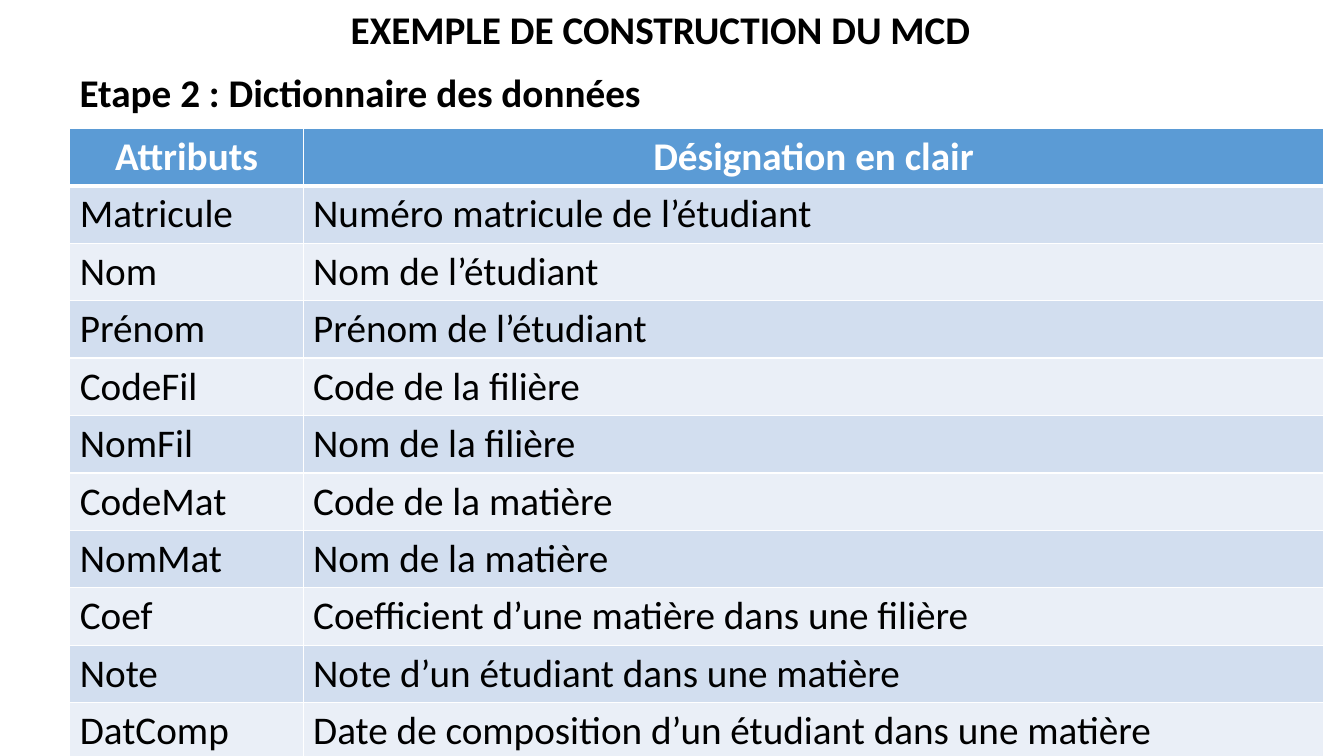
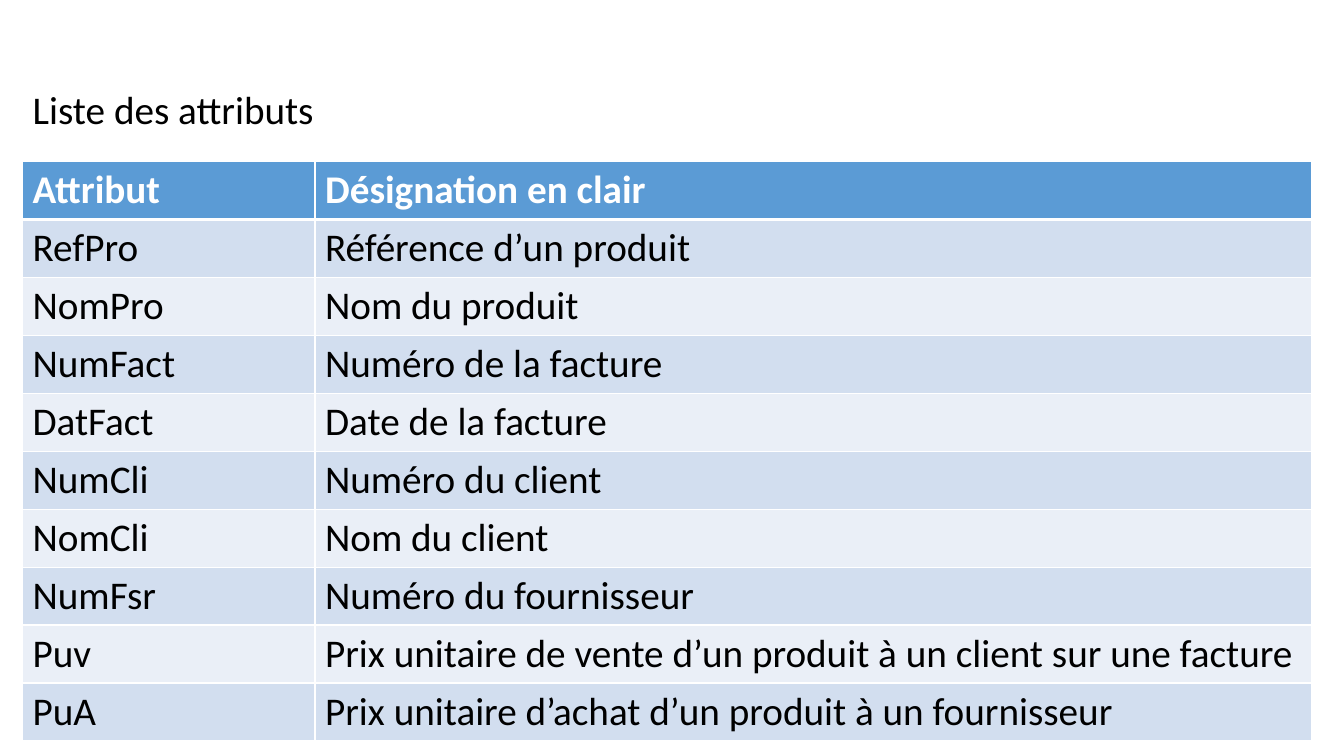
from dataclasses import dataclass

import pptx
import pptx.dml.color
import pptx.enum.text
import pptx.oxml
import pptx.oxml.ns
import pptx.util

Cm = pptx.util.Cm
Pt = pptx.util.Pt
ALIGN = pptx.enum.text.PP_ALIGN
TITLE_ONLY = 5


@dataclass(frozen=True)
class Theme:
    font: str = "Calibri"
    size: int = 28
    text: str = "000000"
    page: str = "FFFFFF"
    header: str = "5B9BD5"
    bands: tuple = ("D2DEEF", "EAEFF7")
    grid: str = "FFFFFF"
    grid_width: int = 1
    header_rule: int = 3


def rgb(code):
    return pptx.dml.color.RGBColor.from_string(code)


class Deck:
    def __init__(self, theme):
        self.theme = theme
        self.prs = pptx.Presentation()
        self.prs.slide_width = Cm(33.87)
        self.prs.slide_height = Cm(19.05)
        fill = self.prs.slide_master.background.fill
        fill.solid()
        fill.fore_color.rgb = rgb(theme.page)
        self.s = None

    def slide(self):
        self.s = self.prs.slides.add_slide(self.prs.slide_layouts[TITLE_ONLY])

    def set_text(self, tf, text, color, bold, align):
        p = tf.paragraphs[0]
        p.text = text
        p.alignment = align
        p.font.name = self.theme.font
        p.font.size = Pt(self.theme.size)
        p.font.bold = bold
        p.font.color.rgb = rgb(color)

    def heading(self, sp, text, bold, align):
        tf = sp.text_frame
        tf.word_wrap = True
        tf.auto_size = pptx.enum.text.MSO_AUTO_SIZE.NONE
        tf.vertical_anchor = pptx.enum.text.MSO_ANCHOR.TOP
        self.set_text(tf, text, self.theme.text, bold, align)

    def title(self, text, left, top, width, bold=True, align=ALIGN.LEFT):
        sp = self.s.shapes.title
        sp.left, sp.top, sp.width, sp.height = Cm(left), Cm(top), Cm(width), Cm(1.45)
        self.heading(sp, text, bold, align)

    def subtitle(self, text, left, top, width):
        sp = self.s.shapes.add_textbox(Cm(left), Cm(top), Cm(width), Cm(1.45))
        self.heading(sp, text, True, ALIGN.LEFT)

    def borders(self, cell, top, bottom):
        """Draw the four cell borders; top and bottom are widths in points."""
        side = self.theme.grid_width
        tcPr = cell._tc.get_or_add_tcPr()
        for tag, width in (("lnL", side), ("lnR", side), ("lnT", top), ("lnB", bottom)):
            tcPr.append(pptx.oxml.parse_xml(
                f'<a:{tag} {pptx.oxml.ns.nsdecls("a")} w="{Pt(width)}"><a:solidFill>'
                f'<a:srgbClr val="{self.theme.grid}"/></a:solidFill></a:{tag}>'))

    def table(self, rows, left, top, widths, row_height, header_align=ALIGN.LEFT):
        t = self.theme
        table = self.s.shapes.add_table(
            len(rows), len(widths), Cm(left), Cm(top),
            Cm(sum(widths)), Cm(row_height * len(rows))).table
        for column, width in zip(table.columns, widths):
            column.width = Cm(width)
        for i, row in enumerate(rows):
            table.rows[i].height = Cm(row_height)
            is_header = i == 0
            for j, text in enumerate(row):
                cell = table.cell(i, j)
                cell.margin_top = cell.margin_bottom = Cm(0.12)
                self.borders(cell,
                             t.header_rule if i == 1 else t.grid_width,
                             t.header_rule if is_header else t.grid_width)
                cell.fill.solid()
                cell.fill.fore_color.rgb = rgb(
                    t.header if is_header else t.bands[(i - 1) % len(t.bands)])
                self.set_text(cell.text_frame, text,
                              t.page if is_header else t.text, is_header,
                              header_align if is_header else ALIGN.LEFT)


STUDENT_DATA = [
    ("Attributs", "Désignation en clair"),
    ("Matricule", "Numéro matricule de l’étudiant"),
    ("Nom", "Nom de l’étudiant"),
    ("Prénom", "Prénom de l’étudiant"),
    ("CodeFil", "Code de la filière"),
    ("NomFil", "Nom de la filière"),
    ("CodeMat", "Code de la matière"),
    ("NomMat", "Nom de la matière"),
    ("Coef", "Coefficient d’une matière dans une filière"),
    ("Note", "Note d’un étudiant dans une matière"),
    ("DatComp", "Date de composition d’un étudiant dans une matière"),
]

INVOICE_DATA = [
    ("Attribut", "Désignation en clair"),
    ("RefPro", "Référence d’un produit"),
    ("NomPro", "Nom du produit"),
    ("NumFact", "Numéro de la facture"),
    ("DatFact", "Date de la facture"),
    ("NumCli", "Numéro du client"),
    ("NomCli", "Nom du client"),
    ("NumFsr", "Numéro du fournisseur"),
    ("Puv", "Prix unitaire de vente d’un produit à un client sur une facture"),
    ("PuA", "Prix unitaire d’achat d’un produit à un fournisseur"),
]


def main():
    deck = Deck(Theme())

    deck.slide()
    deck.title("EXEMPLE DE CONSTRUCTION DU MCD", 2.24, 0, 28.8, align=ALIGN.CENTER)
    deck.subtitle("Etape 2 : Dictionnaire des données", 1.76, 1.6, 24.7)
    deck.table(STUDENT_DATA, 1.76, 3.23, (5.88, 25.72), 1.44, ALIGN.CENTER)

    deck.slide()
    deck.title("Liste des attributs", 0.57, 2.03, 10.97, bold=False)
    deck.table(INVOICE_DATA, 0.57, 4.07, (7.37, 25.12), 1.46)

    deck.prs.save("out.pptx")


if __name__ == "__main__":
    main()
